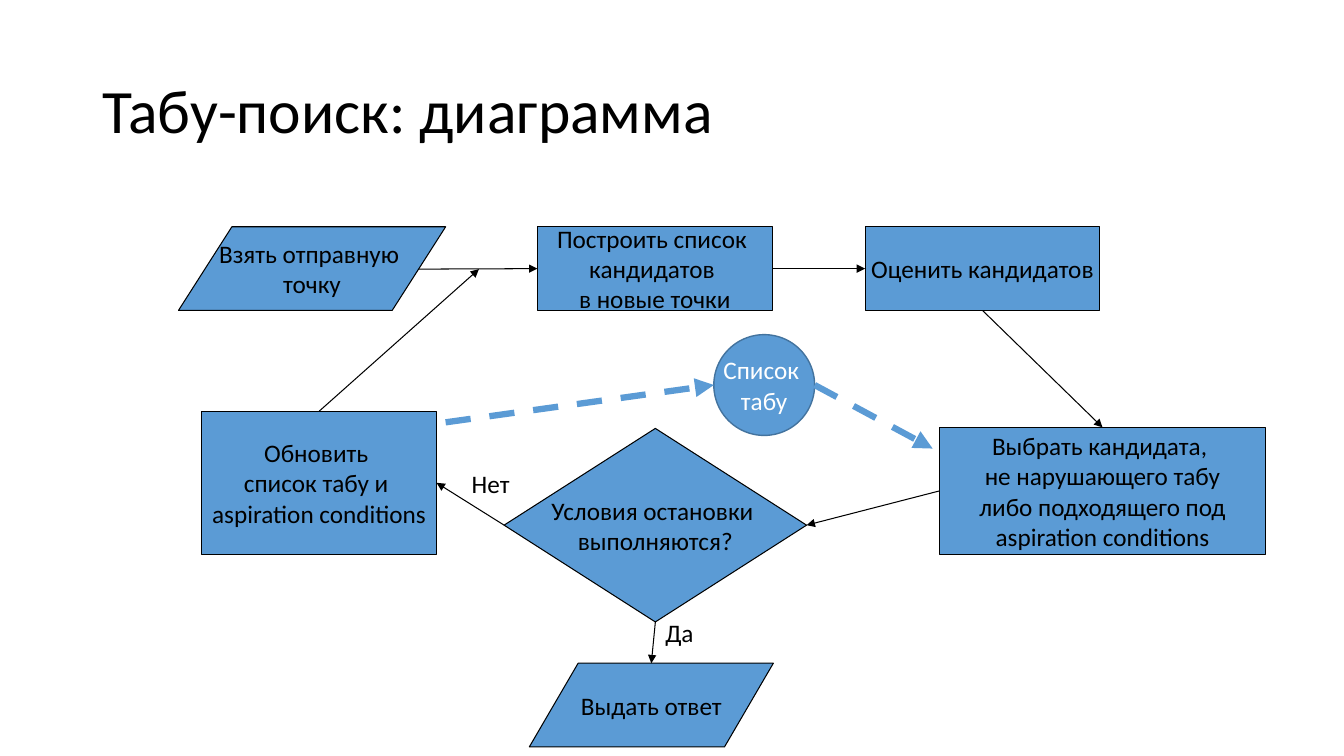
from lxml import etree
from pptx import Presentation
from pptx.dml.color import RGBColor
from pptx.enum.dml import MSO_LINE as Dash
from pptx.enum.shapes import MSO_CONNECTOR as Link, MSO_SHAPE as Kind
from pptx.enum.text import MSO_ANCHOR as Anchor, MSO_AUTO_SIZE as Auto, PP_ALIGN as Align
from pptx.oxml.ns import qn
from pptx.util import Inches, Pt

FONT = "Calibri"
COLORS = {"blue": "5B9BD5", "edge": "43739E", "black": "000000", "white": "FFFFFF"}
TITLE = ("Табу-поиск: диаграмма", (0.92, 0.4, 11.5, 1.45))

# name: preset, (left, top, width, height), paragraphs
STEPS = {
    "start": (Kind.FLOWCHART_DATA, (1.77, 2.25, 2.65, 0.83),
              ["Взять отправную \nточку"]),
    "build": (Kind.RECTANGLE, (5.33, 2.25, 2.33, 0.83),
              ["Построить список \nкандидатов \nв новые точки"]),
    "rate": (Kind.RECTANGLE, (8.58, 2.25, 2.33, 0.83),
             ["Оценить кандидатов"]),
    "choose": (Kind.RECTANGLE, (9.32, 4.24, 3.23, 1.26),
               ["Выбрать кандидата, \nне нарушающего табу\nлибо подходящего под",
                "aspiration conditions"]),
    "check": (Kind.DIAMOND, (5, 4.25, 3, 1.92),
              ["Условия остановки \nвыполняются?"]),
    "update": (Kind.RECTANGLE, (2, 4.08, 2.33, 1.42),
               ["Обновить \nсписок табу и \naspiration conditions"]),
    "answer": (Kind.FLOWCHART_DATA, (5.25, 6.58, 2.42, 0.83),
               ["Выдать ответ"]),
}
TABU = (Kind.OVAL, (7.08, 3.32, 1, 1), ["Список \nтабу"])
LABELS = [("Нет", (4.58, 4.6, 0.58, 0.4)), ("Да", (6.5, 6.08, 0.49, 0.4))]

# An end is a (step, side) pair or a plain (x, y) point.
SIDES = ["top", "left", "bottom", "right"]
FLOW = [
    ((4.15, 2.67), ("build", "left")),
    (("build", "right"), ("rate", "left")),
    (("rate", "bottom"), ("choose", "top")),
    (("choose", "left"), ("check", "right")),
    (("check", "bottom"), (6.46, 6.58)),
    (("check", "left"), ("update", "right")),
    (("update", "top"), (4.75, 2.67)),
]
MEMORY = [((4.42, 4.19), (7.08, 3.82)), ((8.08, 3.82), (9.25, 4.45))]


def paint(name):
    return RGBColor.from_string(COLORS[name])


def write(shape, texts, size=18, color="black", align=Align.LEFT, wrap=False):
    frame = shape.text_frame
    frame.word_wrap = wrap
    for i, text in enumerate(texts):
        para = frame.add_paragraph() if i else frame.paragraphs[0]
        para.text = text
        para.alignment = align
        para.font.name = FONT
        para.font.size = Pt(size)
        para.font.color.rgb = paint(color)
    return frame


def add_step(slide, step, edge="black", width=0.75, color="black"):
    kind, box, texts = step
    shape = slide.shapes.add_shape(kind, *map(Inches, box))
    shape.shadow.inherit = False
    shape.fill.solid()
    shape.fill.fore_color.rgb = paint("blue")
    shape.line.color.rgb = paint(edge)
    shape.line.width = Pt(width)
    frame = write(shape, texts, color=color, align=Align.CENTER)
    frame.vertical_anchor = Anchor.MIDDLE
    return shape


def add_text(slide, text, box, **style):
    return write(slide.shapes.add_textbox(*map(Inches, box)), [text], **style)


def add_arrow(slide, ends, steps, color="black", width=0.75, dash=None):
    """Draw an arrow and glue each end that names a step."""
    spots = [(0, 0) if end[0] in steps else end for end in ends]
    arrow = slide.shapes.add_connector(
        Link.STRAIGHT, *(Inches(v) for spot in spots for v in spot))
    for end, glue in zip(ends, (arrow.begin_connect, arrow.end_connect)):
        if end[0] in steps:
            glue(steps[end[0]], SIDES.index(end[1]))
    arrow.line.color.rgb = paint(color)
    arrow.line.width = Pt(width)
    if dash:
        arrow.line.dash_style = dash
    props = arrow.element.spPr
    etree.SubElement(props.find(qn("a:ln")), qn("a:tailEnd"), type="triangle")
    etree.SubElement(props, qn("a:effectLst"))


def main():
    deck = Presentation()
    deck.slide_width, deck.slide_height = Inches(13.33), Inches(7.5)
    slide = deck.slides.add_slide(deck.slide_layouts[6])

    title = add_text(slide, *TITLE, size=44, wrap=True)
    title.vertical_anchor = Anchor.MIDDLE
    title.paragraphs[0].line_spacing = 0.9

    steps = {name: add_step(slide, step) for name, step in STEPS.items()}
    for ends in FLOW:
        add_arrow(slide, ends, steps)
    for text, box in LABELS:
        add_text(slide, text, box).auto_size = Auto.SHAPE_TO_FIT_TEXT

    add_step(slide, TABU, edge="edge", width=1, color="white")
    for ends in MEMORY:
        add_arrow(slide, ends, steps, color="blue", width=4.5, dash=Dash.DASH)
    deck.save("out.pptx")


if __name__ == "__main__":
    main()
